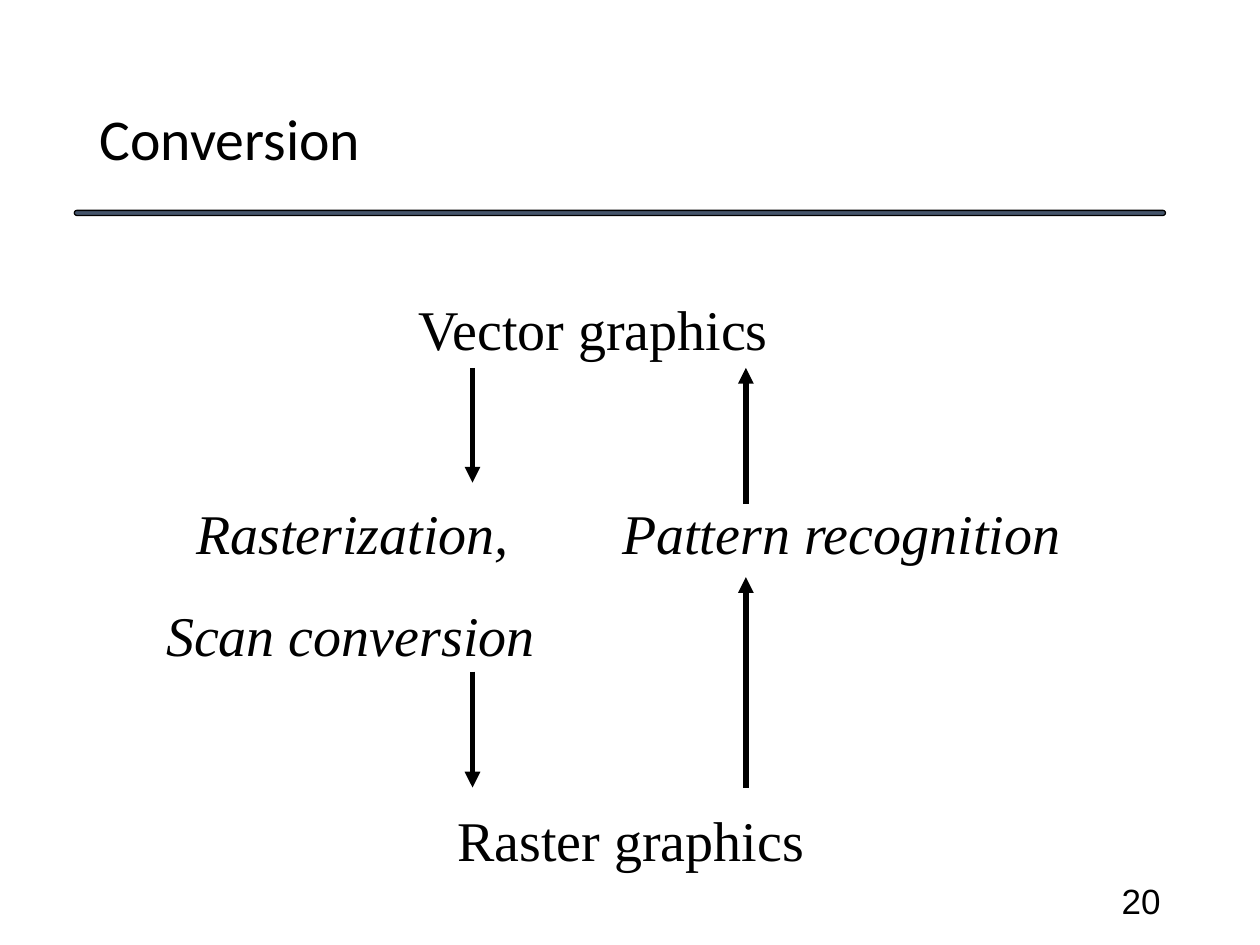
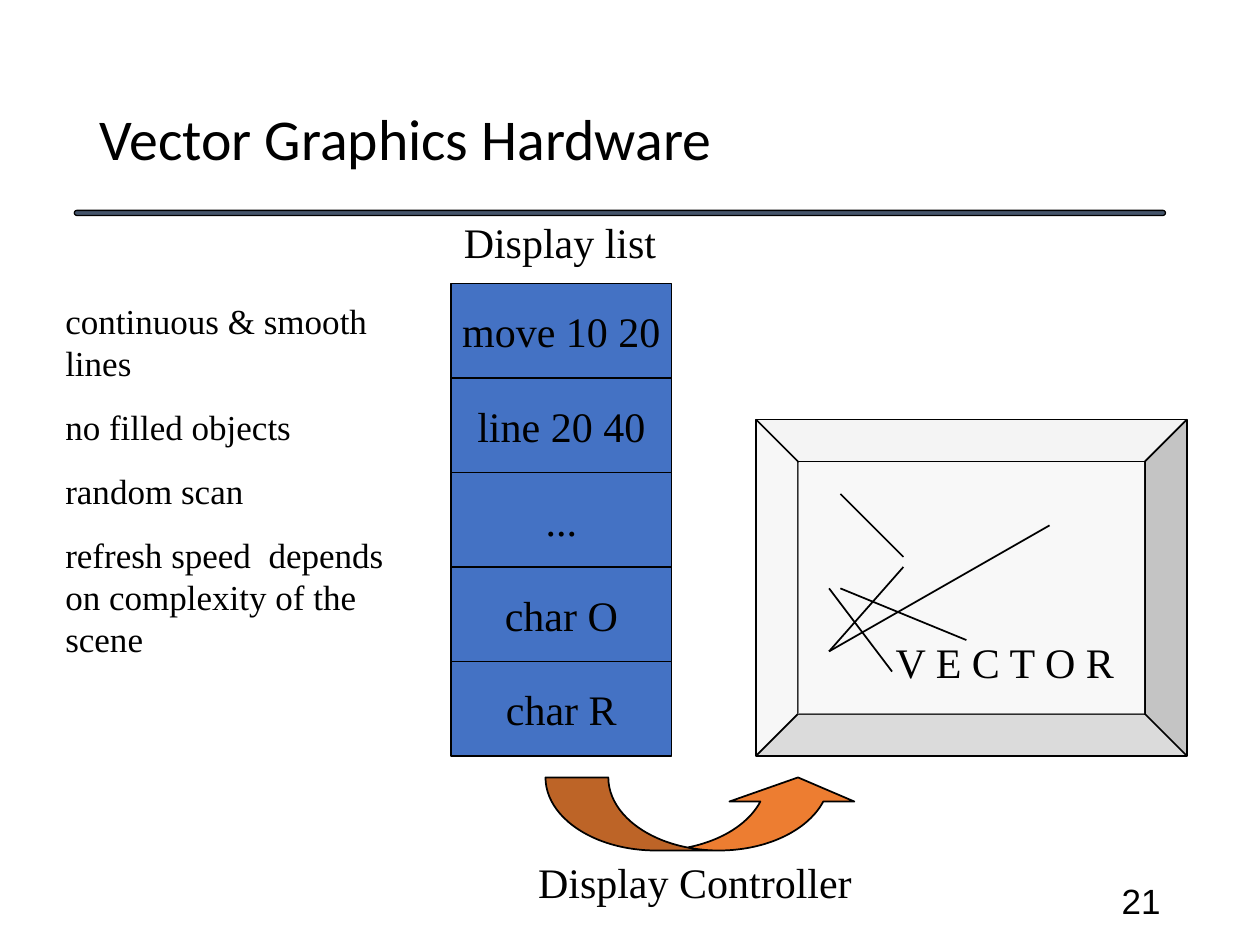
from lxml.etree import SubElement as Sub
from pptx import Presentation
from pptx.dml.color import RGBColor as Rgb
from pptx.enum.shapes import MSO_CONNECTOR as Conn, MSO_SHAPE as Kind
from pptx.enum.text import MSO_ANCHOR as Anchor, PP_ALIGN as Align
from pptx.oxml.ns import qn
from pptx.util import Inches, Pt

COLORS = {"ink": "000000", "rule": "44546A", "cell": "4472C4",
          "arrow": "ED7D31", "frame": "E7E6E6", "glass": "FFFFFF"}
SERIF = "Times New Roman"
TITLE = {"name": "Calibri", "size": Pt(33), "bold": False}
PAGE = {"name": "Arial", "size": Pt(20)}
TERM = {"name": SERIF, "size": Pt(32), "italic": False}
STEP = {**TERM, "italic": True}
LABEL = {"name": SERIF, "size": Pt(24)}
NOTE = {"name": SERIF, "size": Pt(20)}


def color(name):
    """Return a palette colour."""
    return Rgb.from_string(COLORS[name])


def apply(item, values):
    """Set each named value on an item."""
    for name, value in values.items():
        setattr(item, name, value)


def write(shape, text, font, align=Align.LEFT, anchor=Anchor.MIDDLE,
          wrap=True, gap=0, pitch=None):
    """Fill a shape with formatted paragraphs, one for each line of text."""
    frame = shape.text_frame
    frame.text = text
    apply(frame, {"word_wrap": wrap, "vertical_anchor": anchor,
                  "margin_left": Inches(0.1), "margin_right": Inches(0.1),
                  "margin_top": Inches(0.05), "margin_bottom": Inches(0.05)})
    for para in frame.paragraphs:
        apply(para, {"alignment": align, "space_before": Pt(gap),
                     "line_spacing": pitch})
        for run in para.runs:
            apply(run.font, font)
            run.font.color.rgb = color("ink")


def label(shapes, box, text, font, **look):
    """Add a text box."""
    write(shapes.add_textbox(*map(Inches, box)), text, font, **look)


def block(shapes, kind, box, fill, line=1, alpha=None, adjust=()):
    """Add a filled shape with an optional outline and opacity."""
    shape = shapes.add_shape(kind, *map(Inches, box))
    shape.shadow.inherit = False
    for index, value in enumerate(adjust):
        shape.adjustments[index] = value
    shape.fill.solid()
    shape.fill.fore_color.rgb = color(fill)
    if alpha:
        tint = shape.fill._xPr.find(f"{qn('a:solidFill')}/{qn('a:srgbClr')}")
        Sub(tint, qn("a:alpha"), val=str(alpha * 1000))
    if line:
        shape.line.color.rgb = color("ink")
        shape.line.width = Pt(line)
    else:
        shape.line.fill.background()
    return shape


def stroke(shapes, start, end, width=1, head=False):
    """Add a straight line, with an arrowhead at its end if asked."""
    line = shapes.add_connector(Conn.STRAIGHT, *map(Inches, start + end))
    line.line.color.rgb = color("ink")
    line.line.width = Pt(width)
    if head:
        Sub(line.line._get_or_add_ln(), qn("a:tailEnd"), type="triangle")
    Sub(line._element.spPr, qn("a:effectLst"))


def start(deck, title, page):
    """Add a slide with the shared title, rule and page number."""
    shapes = deck.slides.add_slide(deck.slide_layouts[5]).shapes
    apply(shapes.title, {"left": Inches(0.69), "top": Inches(0.4),
                         "width": Inches(8.63), "height": Inches(1.45)})
    write(shapes.title, title, TITLE, pitch=0.9)
    block(shapes, Kind.ROUNDED_RECTANGLE, (0.59, 1.67, 8.66, 0.04), "rule",
          line=0.75, adjust=[0.5])
    label(shapes, (7.06, 6.95, 2.25, 0.4), str(page), PAGE, align=Align.RIGHT)
    return shapes


def convert(deck):
    """Build the slide on conversion between graphics types."""
    shapes = start(deck, "Conversion", 20)
    terms = [(3.22, 0, "Vector graphics", TERM),
             (1.46, 2, "Rasterization,", STEP),
             (4.84, 2, "Pattern recognition", STEP),
             (1.22, 3, "Scan conversion", STEP),
             (3.53, 5, "Raster graphics", TERM)]
    for left, row, text, font in terms:
        label(shapes, (left, 2.29 + 0.81 * row, 4, 0.6), text, font,
              anchor=Anchor.TOP)
    down, up = 3.75, 5.92
    for x, tail, tip in [(down, 2.92, 3.83), (down, 5.33, 6.25),
                         (up, 4, 2.92), (up, 6.25, 4.58)]:
        stroke(shapes, (x, tail), (x, tip), width=3, head=True)


def screen(shapes):
    """Draw the vector display with its strokes."""
    block(shapes, Kind.BEVEL, (6, 3.33, 3.42, 2.67), "frame", alpha=50,
          adjust=[0.125])
    block(shapes, Kind.RECTANGLE, (6.33, 3.67, 2.75, 2), "glass", line=0,
          alpha=50)
    for ends in [((6.67, 3.92), (7.17, 4.42)), ((7.17, 4.5), (6.58, 5.17)),
                 ((6.58, 4.67), (7.08, 5.33)), ((6.67, 4.67), (7.67, 5.08)),
                 ((8.33, 4.17), (6.58, 5.17))]:
        stroke(shapes, *ends)
    label(shapes, (7, 5, 1.95, 0.5), "V E C T O R", LABEL,
          align=Align.CENTER, wrap=False)


def stack(shapes):
    """Draw the display list as a column of commands."""
    left, top, high = 3.58, 2.25, 0.75
    cells = ["move 10 20", "line 20 40", "...", "char O", "char R"]
    for row, text in enumerate(cells):
        cell = block(shapes, Kind.RECTANGLE,
                     (left, top + row * high, 1.75, high), "cell")
        write(cell, text, LABEL, align=Align.CENTER, wrap=False)
    label(shapes, (left, 1.67, 1.73, 0.5), "Display list", LABEL,
          align=Align.CENTER, wrap=False)


def hardware(deck):
    """Build the slide on vector graphics hardware."""
    shapes = start(deck, "Vector Graphics Hardware", 21)
    screen(shapes.add_group_shape().shapes)
    block(shapes, Kind.CURVED_UP_ARROW, (4.33, 6.17, 2.5, 0.58), "arrow",
          adjust=[0.86, 1.71, 0.33])
    label(shapes, (4.17, 6.75, 2.69, 0.5), "Display Controller", LABEL,
          align=Align.CENTER, wrap=False)
    stack(shapes.add_group_shape().shapes)
    notes = ["continuous & smooth lines", "no filled objects", "random scan",
             "refresh speed  depends on complexity of the scene"]
    label(shapes, (0.42, 2.33, 2.83, 2.96), "\n".join(notes), NOTE,
          anchor=Anchor.TOP, gap=12.5)


def main():
    """Build and save the deck."""
    deck = Presentation()
    apply(deck, {"slide_width": Inches(10), "slide_height": Inches(7.5)})
    convert(deck)
    hardware(deck)
    deck.save("out.pptx")


if __name__ == "__main__":
    main()
